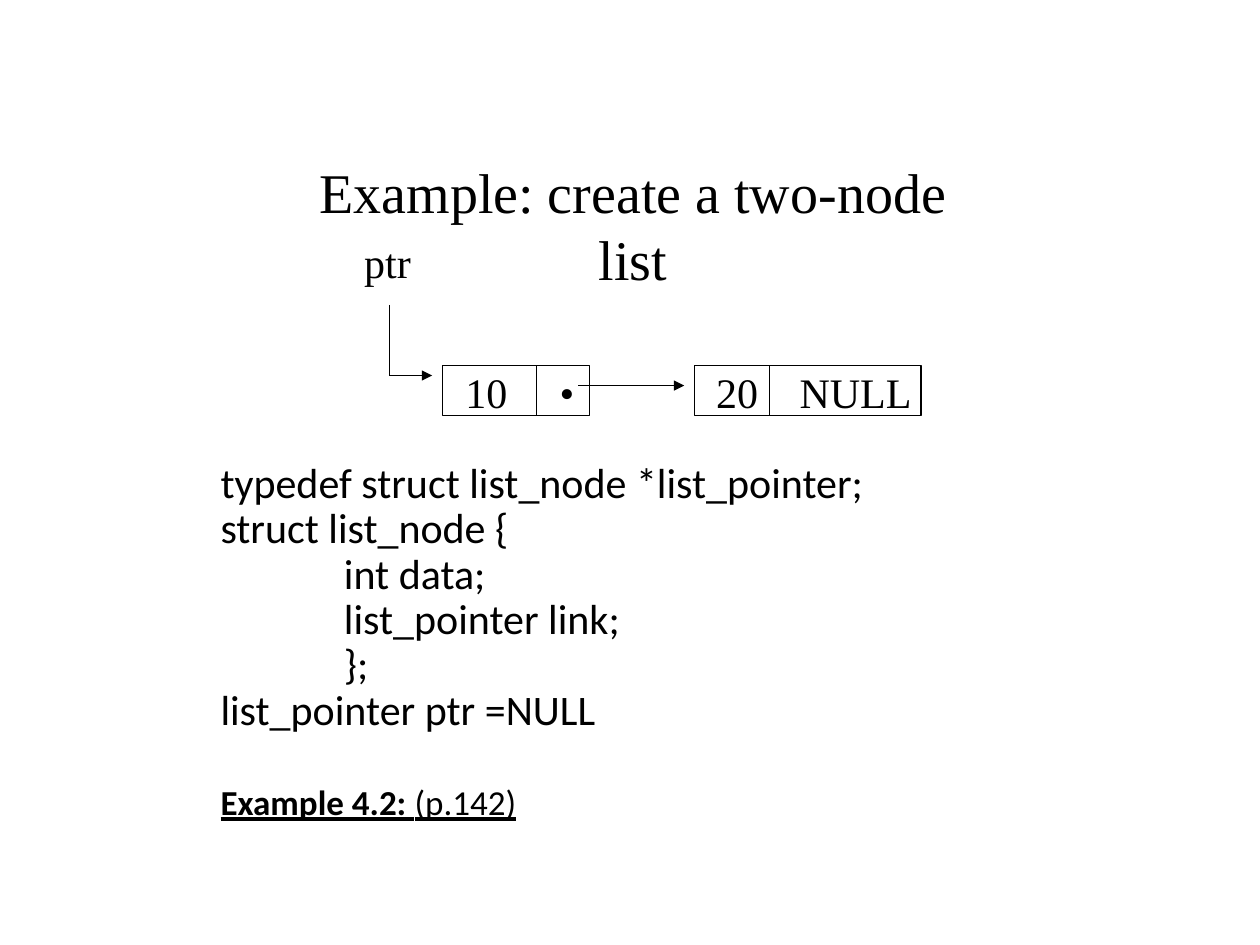
from typing import NamedTuple

from lxml.etree import SubElement
from pptx import Presentation
from pptx.dml.color import RGBColor
from pptx.enum.shapes import MSO_CONNECTOR, MSO_SHAPE
from pptx.enum.text import MSO_ANCHOR, MSO_AUTO_SIZE, PP_ALIGN
from pptx.oxml.ns import qn
from pptx.util import Inches, Pt

COLORS = {"ink": "000000"}
INK = RGBColor.from_string(COLORS["ink"])
CODE_FONT = "Calibri"
DIAGRAM_FONT = "Times New Roman"
NODE_TOP, NODE_HEIGHT = 2.9, 0.4

CODE = [
    "typedef struct list_node *list_pointer;",
    "struct list_node {",
    "             int data;",
    "             list_pointer link;",
    "             };",
    "list_pointer ptr =NULL",
]


class Node(NamedTuple):
    left: float
    width: float
    divider: float
    data: str
    link: str
    centers: tuple[float, float]


class Line(NamedTuple):
    start: tuple[float, float]
    end: tuple[float, float]
    arrow: bool = False


class Label(NamedTuple):
    text: str
    left: float
    top: float
    width: float
    height: float
    size: int


NODES = [
    Node(3.51, 1.17, 4.26, "10", "•", (3.86, 4.5)),
    Node(5.51, 1.8, 6.11, "20", "NULL", (5.85, 6.79)),
]
POINTERS = [
    Line((3.09, 2.42), (3.09, 2.98)),
    Line((3.09, 2.98), (3.43, 2.98), arrow=True),
    Line((4.59, 3.06), (5.43, 3.06), arrow=True),
]
LABELS = [
    Label("Example: create a two-node list", 2.11, 1.2, 5.83, 0.63, 32),
    Label("ptr", 2.79, 1.83, 0.57, 0.5, 24),
]


def set_font(font, name: str, size: int) -> None:
    font.name = name
    font.size = Pt(size)
    font.color.rgb = INK


def draw_line(page, line: Line) -> None:
    connector = page.shapes.add_connector(
        MSO_CONNECTOR.STRAIGHT, *map(Inches, line.start + line.end))
    connector.line.color.rgb = INK
    connector.line.width = Pt(0.75)
    properties = connector._element.spPr
    if line.arrow:
        SubElement(properties.find(qn("a:ln")), qn("a:tailEnd"), type="triangle")
    SubElement(properties, qn("a:effectLst"))


def draw_label(page, label: Label) -> None:
    box = page.shapes.add_textbox(*map(
        Inches, (label.left, label.top, label.width, label.height)))
    box.text_frame.word_wrap = False
    para = box.text_frame.paragraphs[0]
    para.text = label.text
    para.alignment = PP_ALIGN.CENTER
    set_font(para.font, DIAGRAM_FONT, label.size)


def draw_node(page, node: Node) -> None:
    """Draw a two-field node, its field texts centred on tab stops."""
    frame = page.shapes.add_shape(MSO_SHAPE.RECTANGLE, *map(
        Inches, (node.left, NODE_TOP, node.width, NODE_HEIGHT)))
    frame.shadow.inherit = False
    frame.fill.background()
    frame.line.color.rgb = INK
    frame.line.width = Pt(0.75)
    draw_line(page, Line((node.divider, NODE_TOP),
                         (node.divider, NODE_TOP + NODE_HEIGHT)))

    box = page.shapes.add_textbox(*map(
        Inches, (node.left, NODE_TOP - 0.04, node.width, 0.5)))
    text = box.text_frame
    text.word_wrap = True
    text.margin_left = text.margin_right = 0
    para = text.paragraphs[0]
    para.text = f"\t{node.data}\t{node.link}"
    tabs = SubElement(para._p.get_or_add_pPr(), qn("a:tabLst"))
    for center in node.centers:
        SubElement(tabs, qn("a:tab"), pos=str(Inches(center - node.left)), algn="ctr")
    set_font(para.font, DIAGRAM_FONT, 24)


def fill_title(title) -> None:
    """Put the declarations and the example reference in the title."""
    title.left, title.top, title.width, title.height = map(
        Inches, (1.65, 3.47, 8.35, 3.26))
    text = title.text_frame
    text.word_wrap = True
    text.auto_size = MSO_AUTO_SIZE.NONE
    text.vertical_anchor = MSO_ANCHOR.MIDDLE
    text.text = "\n".join(CODE)
    for para in text.paragraphs:
        set_font(para.font, CODE_FONT, 24)

    reference = text.add_paragraph()
    reference.space_before = Pt(29)
    set_font(reference.font, CODE_FONT, 20)
    reference.font.underline = True
    for words, bold in (("Example 4.2: ", True), ("(p.142)", False)):
        span = reference.add_run()
        span.text = words
        span.font.bold = bold

    for para in text.paragraphs:
        para.alignment = PP_ALIGN.LEFT
        para.line_spacing = 0.9


def main() -> None:
    deck = Presentation()
    deck.slide_width, deck.slide_height = Inches(10), Inches(7.5)
    page = deck.slides.add_slide(deck.slide_layouts[5])
    fill_title(page.shapes.title)
    for node in NODES:
        draw_node(page, node)
    for pointer in POINTERS:
        draw_line(page, pointer)
    for label in LABELS:
        draw_label(page, label)
    deck.save("out.pptx")


if __name__ == "__main__":
    main()
